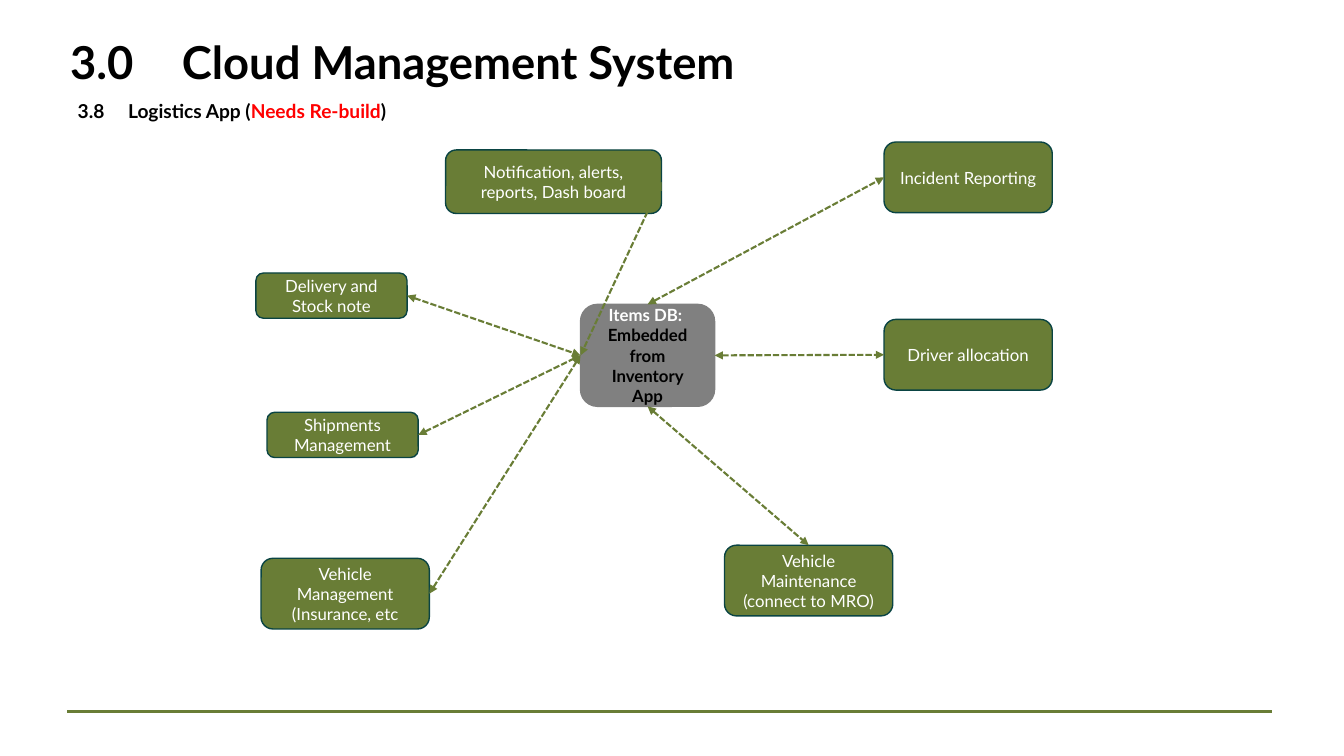
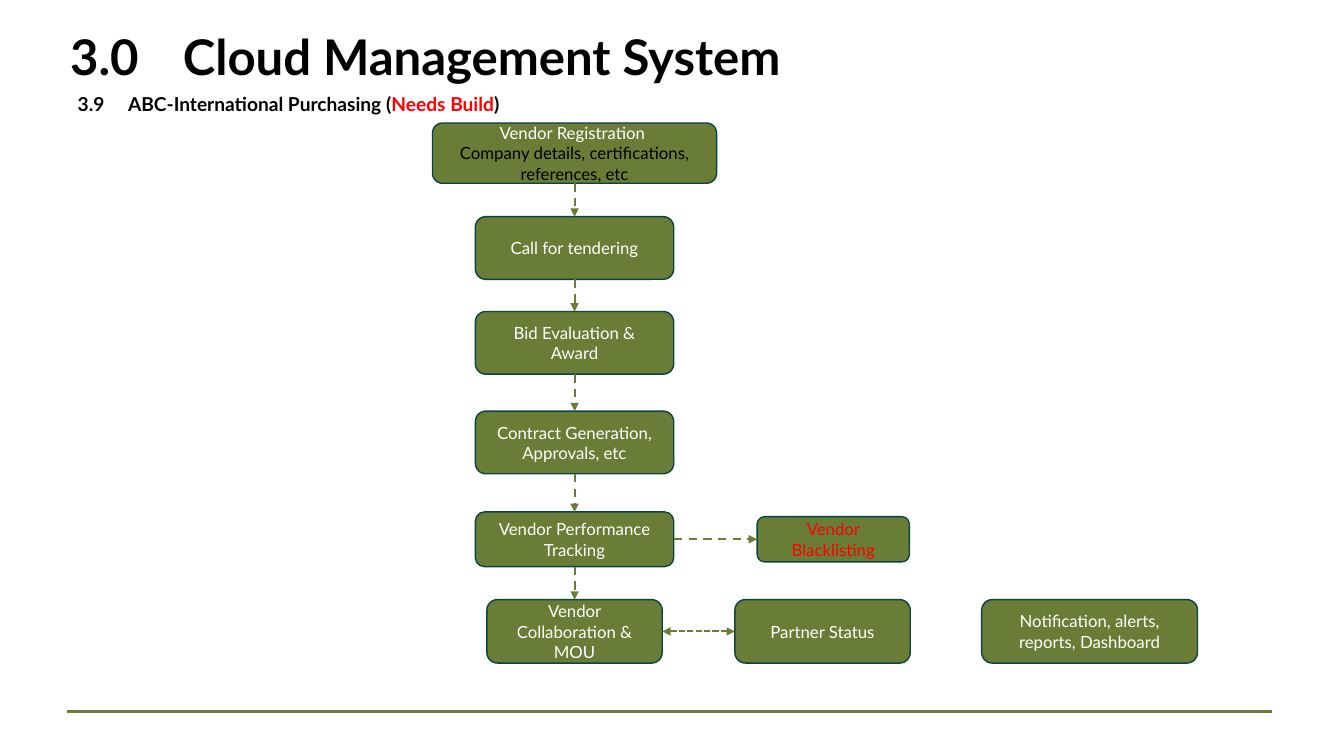
import pptx
import pptx.util
import pptx.dml.color
import pptx.enum.dml
import pptx.enum.shapes
import pptx.enum.text
import lxml.etree
from pptx.util import Cm

GREEN, EDGE, GRAY = "697D36", "0A4443", "808080"
WHITE, BLACK, RED = "FFFFFF", "000000", "FF0000"
FONT = "Lato"
TOP, LEFT, LOW, RIGHT = range(4)
DOT = pptx.enum.dml.MSO_LINE.SQUARE_DOT
DASH = pptx.enum.dml.MSO_LINE.DASH
CENTER = pptx.enum.text.PP_ALIGN.CENTER


def tint(hex):
    return pptx.dml.color.RGBColor.from_string(hex)


def put(frame, paras, size=12, bold=False, align=None, lead=None):
    """Write paragraphs, each a list of (text, colour) runs."""
    frame.word_wrap = True
    for i, runs in enumerate(paras):
        para = frame.paragraphs[0] if i == 0 else frame.add_paragraph()
        para.alignment, para.line_spacing = align, lead
        for text, color in runs:
            run = para.add_run()
            run.text = text
            run.font.name, run.font.bold = FONT, bold
            run.font.size = pptx.util.Pt(size)
            run.font.color.rgb = tint(color)


def join(slide, width, style=None, heads=()):
    """Add an unplaced straight line, with the named arrowheads."""
    line = slide.shapes.add_connector(
        pptx.enum.shapes.MSO_CONNECTOR.STRAIGHT, 0, 0, 0, 0)
    line.line.color.rgb = tint(GREEN)
    line.line.width = pptx.util.Pt(width)
    if style is not None:
        line.line.dash_style = style
    pen = line.line._get_or_add_ln()
    for end in heads:
        lxml.etree.SubElement(pen, pptx.oxml.ns.qn("a:" + end), type="triangle")
    lxml.etree.SubElement(line._element.spPr, pptx.oxml.ns.qn("a:effectLst"))
    return line


# Boxes: left, top, width, height in cm, then text or paragraphs of runs
apps = {
    "hub": (14.63, 7.67, 3.38, 2.57, [
        [("Items DB: ", WHITE)], [("Embedded from Inventory App", BLACK)]]),
    "note": (6.45, 6.88, 3.81, 1.14, "Delivery and Stock note"),
    "ship": (6.73, 10.39, 3.81, 1.14, "Shipments Management"),
    "fleet": (6.58, 14.07, 4.24, 1.78, "Vehicle Management (Insurance, etc"),
    "care": (18.26, 13.74, 4.24, 1.78, "Vehicle Maintenance (connect to MRO)"),
    "driver": (22.28, 8.05, 4.24, 1.78, "Driver allocation"),
    "report": (22.28, 3.58, 4.24, 1.78, "Incident Reporting"),
    "alert": (11.23, 3.78, 5.44, 1.6, "Notification, alerts, reports, Dash board"),
}
app_links = [
    ("hub", LOW, "care", TOP, DOT, True),
    ("hub", RIGHT, "driver", LEFT, DOT, True),
    ("hub", TOP, "report", LEFT, DOT, True),
] + [(name, RIGHT, "hub", LEFT, DOT, True)
     for name in ("fleet", "ship", "note", "alert")]

# The steps share one centre line: width, top, height, text
MID = 14.48
steps = [
    (7.16, 3.1, 1.52, [
        [("Vendor Registration ", WHITE)],
        [("Company details, certifications, references, etc", BLACK)]]),
    (5, 5.46, 1.58, "Call for tendering"),
    (5, 7.85, 1.58, "Bid Evaluation & Award"),
    (5, 10.36, 1.58, "Contract Generation, Approvals, etc"),
    (5, 12.9, 1.38, "Vendor Performance Tracking"),
    (4.42, 15.11, 1.6, "Vendor Collaboration & MOU"),
]
flow = {i: (MID - wide / 2, top, wide, high, text)
        for i, (wide, top, high, text) in enumerate(steps)}
flow["black"] = (19.08, 13.02, 3.84, 1.14, [[("Vendor Blacklisting", RED)]])
flow["partner"] = (18.52, 15.11, 4.42, 1.6, "Partner Status")
flow["alert"] = (24.74, 15.11, 5.44, 1.6, "Notification, alerts, reports, Dashboard")
flow_links = [(i, LOW, i + 1, TOP, DASH, False) for i in range(len(steps) - 1)]
flow_links += [
    (4, RIGHT, "black", LEFT, DASH, False),
    ("partner", LEFT, 5, RIGHT, DOT, True),
]

# Title top and size, subtitle top, its words, its red words, boxes, links
pages = [
    (0.89, 32.4, 2.44, "3.8\tLogistics App (", "Needs Re-build", apps, app_links),
    (0.71, 35.1, 2.26, "3.9\tABC-International Purchasing (", "Needs Build",
     flow, flow_links),
]

deck = pptx.Presentation()
deck.slide_width, deck.slide_height = Cm(33.87), Cm(19.05)

for top, size, sub_top, words, state, boxes, links in pages:
    slide = deck.slides.add_slide(deck.slide_layouts[6])
    rule = join(slide, 2)
    rule.begin_x, rule.end_x = Cm(1.7), Cm(32.05)
    rule.begin_y = rule.end_y = Cm(17.93)

    title = slide.shapes.add_textbox(Cm(1.52), Cm(top), Cm(29.6), Cm(1.6))
    put(title.text_frame, [[("3.0 \t Cloud Management System", BLACK)]],
        size=size, bold=True, lead=0.9)
    sub = slide.shapes.add_textbox(Cm(1.71), Cm(sub_top), Cm(22), Cm(0.97))
    put(sub.text_frame, [[(words, BLACK), (state, RED), (")", BLACK)]],
        size=13.7, bold=True, lead=0.9)

    shapes = {}
    for name, (left, y, wide, high, text) in boxes.items():
        box = slide.shapes.add_shape(
            pptx.enum.shapes.MSO_SHAPE.ROUNDED_RECTANGLE,
            Cm(left), Cm(y), Cm(wide), Cm(high))
        hub = name == "hub"
        box.shadow.inherit = False
        box.fill.solid()
        box.fill.fore_color.rgb = tint(GRAY if hub else GREEN)
        box.line.color.rgb = tint(GRAY if hub else EDGE)
        box.line.width = pptx.util.Pt(1)
        paras = [[(text, WHITE)]] if isinstance(text, str) else text
        put(box.text_frame, paras, bold=hub, align=CENTER)
        shapes[name] = box

    for start, out, end, into, style, both in links:
        heads = ("headEnd", "tailEnd") if both else ("tailEnd",)
        link = join(slide, 1.5, style, heads)
        link.begin_connect(shapes[start], out)
        link.end_connect(shapes[end], into)

deck.save("out.pptx")
